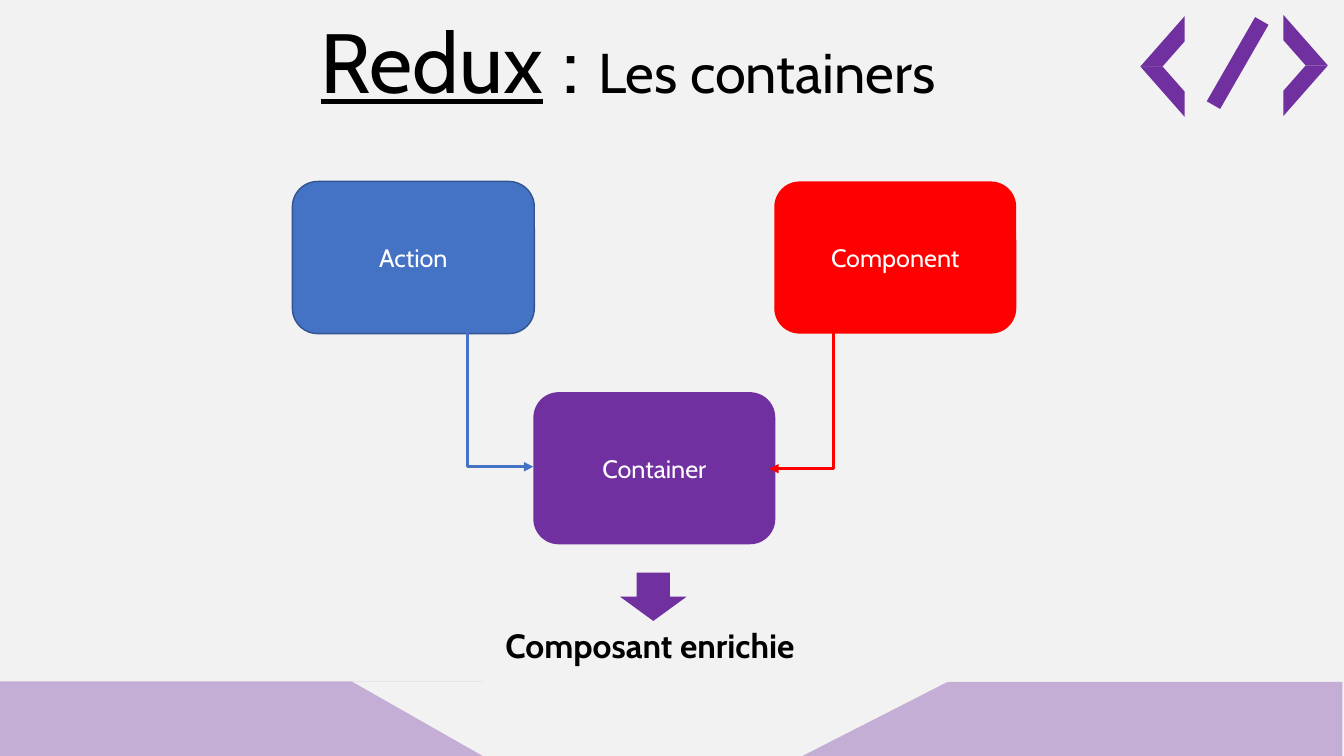
"""Build the slide on Redux containers."""
from dataclasses import dataclass

from lxml import etree
from pptx import Presentation
from pptx.dml.color import RGBColor
from pptx.enum.shapes import MSO_CONNECTOR, MSO_SHAPE
from pptx.enum.text import MSO_ANCHOR, MSO_AUTO_SIZE, PP_ALIGN
from pptx.oxml.ns import qn
from pptx.util import Inches, Pt

RECT = MSO_SHAPE.RECTANGLE
WEDGE = MSO_SHAPE.RIGHT_TRIANGLE
STRIPE = MSO_SHAPE.DIAGONAL_STRIPE
MINUS = MSO_SHAPE.MATH_MINUS
ROUND = MSO_SHAPE.ROUNDED_RECTANGLE
DOWN = MSO_SHAPE.DOWN_ARROW
ELBOW = MSO_CONNECTOR.ELBOW
CENTER = PP_ALIGN.CENTER
MIDDLE = MSO_ANCHOR.MIDDLE
TOP = MSO_ANCHOR.TOP
GROW = MSO_AUTO_SIZE.SHAPE_TO_FIT_TEXT


@dataclass(frozen=True)
class Theme:
    font: str = "Cabin"
    paper: str = "F2F2F2"
    purple: str = "7030A0"
    blue: str = "4472C4"
    navy: str = "325491"
    red: str = "FF0000"
    black: str = "000000"
    white: str = "FFFFFF"
    title: int = 60
    topic: int = 40
    result: int = 24
    label: int = 18
    edge: float = 1
    link: float = 2.25


theme = Theme()
deck = Presentation()
deck.slide_width, deck.slide_height = Inches(13.33), Inches(7.5)
slide = deck.slides.add_slide(deck.slide_layouts[6])
back = slide.background.fill
back.solid()
back.fore_color.rgb = RGBColor.from_string(theme.paper)


def draw(kind, area, color, turn=0, flip=None, alpha=None):
    """Add a plain filled shape, turned or flipped if asked."""
    shape = slide.shapes.add_shape(kind, *map(Inches, area))
    shape.shadow.inherit = False
    shape.fill.solid()
    shape.fill.fore_color.rgb = RGBColor.from_string(color)
    shape.line.fill.background()
    shape.rotation = turn
    props = shape._element.spPr
    if flip:
        props.find(qn("a:xfrm")).set(flip, "1")
    if alpha:
        tint = props.find(qn("a:solidFill")).find(qn("a:srgbClr"))
        etree.SubElement(tint, qn("a:alpha")).set("val", str(alpha * 1000))
    return shape


def write(shape, text, size, color=theme.black, bold=False, line=False, anchor=TOP):
    """Append a centred run of text to a shape."""
    frame = shape.text_frame
    frame.word_wrap = True
    frame.vertical_anchor = anchor
    para = frame.paragraphs[0]
    para.alignment = CENTER
    run = para.add_run()
    run.text = text
    font = run.font
    font.name, font.size = theme.font, Pt(size)
    font.bold, font.underline = bold, line
    font.color.rgb = RGBColor.from_string(color)


draw(RECT, (10.27, 4.46, 0.74, 5.35), theme.purple, 90, "flipH", 35)
draw(WEDGE, (8.32, 6.4, 0.74, 1.45), theme.paper, 90)
draw(RECT, (2.02, 4.73, 0.74, 4.8), theme.purple, 270, alpha=35)
draw(WEDGE, (3.77, 6.48, 0.74, 1.3), theme.paper, 270, "flipH")

for left, top, turn, flip in (
    (12.73, 0.65, 0, None),
    (12.73, 0.15, 0, "flipV"),
    (11.31, 0.16, 180, None),
    (11.31, 0.66, 180, "flipV"),
):
    draw(STRIPE, (left, top, 0.44, 0.5), theme.purple, turn, flip)
draw(MINUS, (11.62, 0.3, 1.31, 0.65), theme.purple, 299.9)

title = slide.shapes.add_textbox(*map(Inches, (1.45, 0.04, 9.56, 1.11)))
title.text_frame.auto_size = GROW
write(title, "Redux", theme.title, line=True)
write(title, " : ", theme.title)
write(title, "Les containers", theme.topic)

for name, left, top, color, edge in (
    ("Action", 2.9, 1.8, theme.blue, theme.navy),
    ("Component", 7.68, 1.8, theme.red, None),
    ("Container", 5.29, 3.89, theme.purple, None),
):
    box = draw(ROUND, (left, top, 2.4, 1.51), color)
    if edge:
        box.line.color.rgb = RGBColor.from_string(edge)
        box.line.width = Pt(theme.edge)
    write(box, name, theme.label, theme.white, anchor=MIDDLE)

for ends, color in (
    ((3.98, 2.98, 5.29, 4.63), theme.blue),
    ((8.91, 2.97, 7.63, 4.65), theme.red),
):
    link = slide.shapes.add_connector(ELBOW, *map(Inches, ends))
    link.line.color.rgb = RGBColor.from_string(color)
    link.line.width = Pt(theme.link)
    stroke = link.line._get_or_add_ln()
    etree.SubElement(stroke, qn("a:tailEnd")).set("type", "triangle")
    etree.SubElement(link._element.spPr, qn("a:effectLst"))

draw(DOWN, (6.15, 5.68, 0.66, 0.48), theme.purple)
result = slide.shapes.add_textbox(*map(Inches, (4.49, 6.15, 3.91, 0.5)))
result.text_frame.auto_size = GROW
write(result, "Composant enrichie", theme.result, bold=True)

deck.save("out.pptx")
